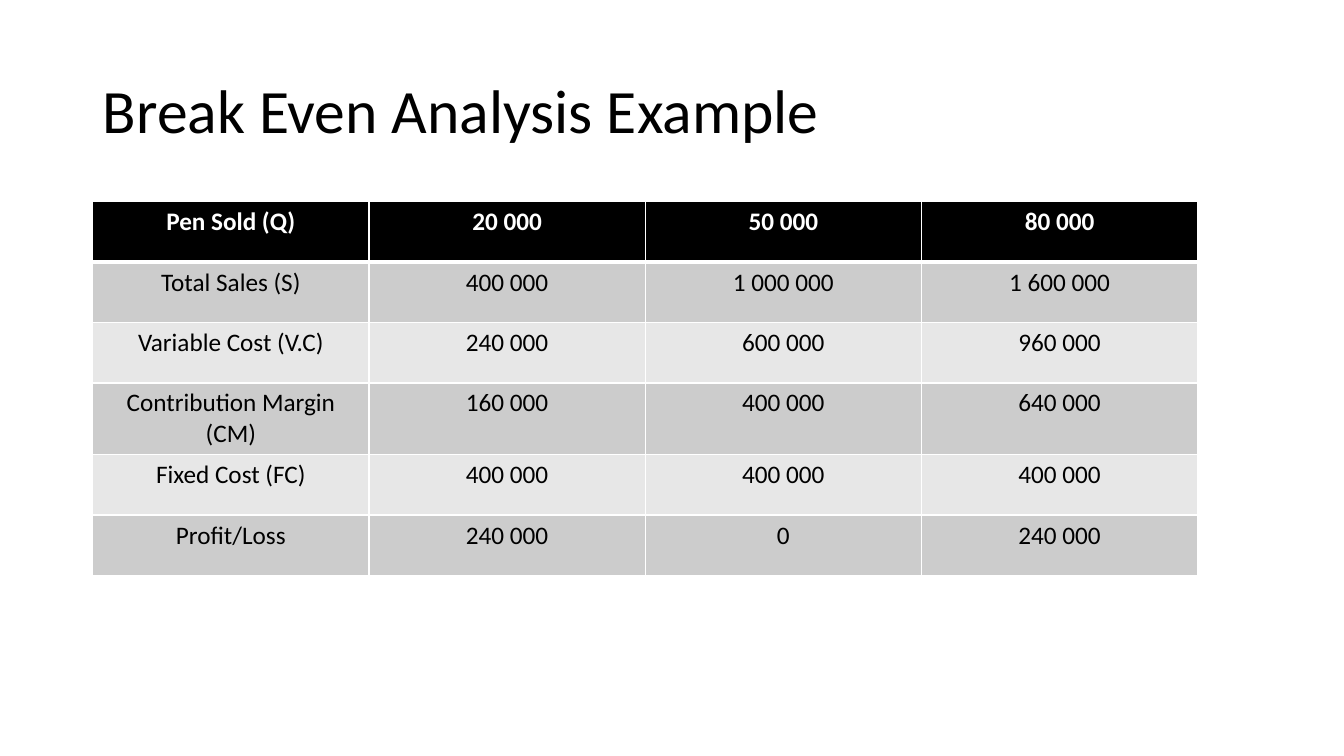
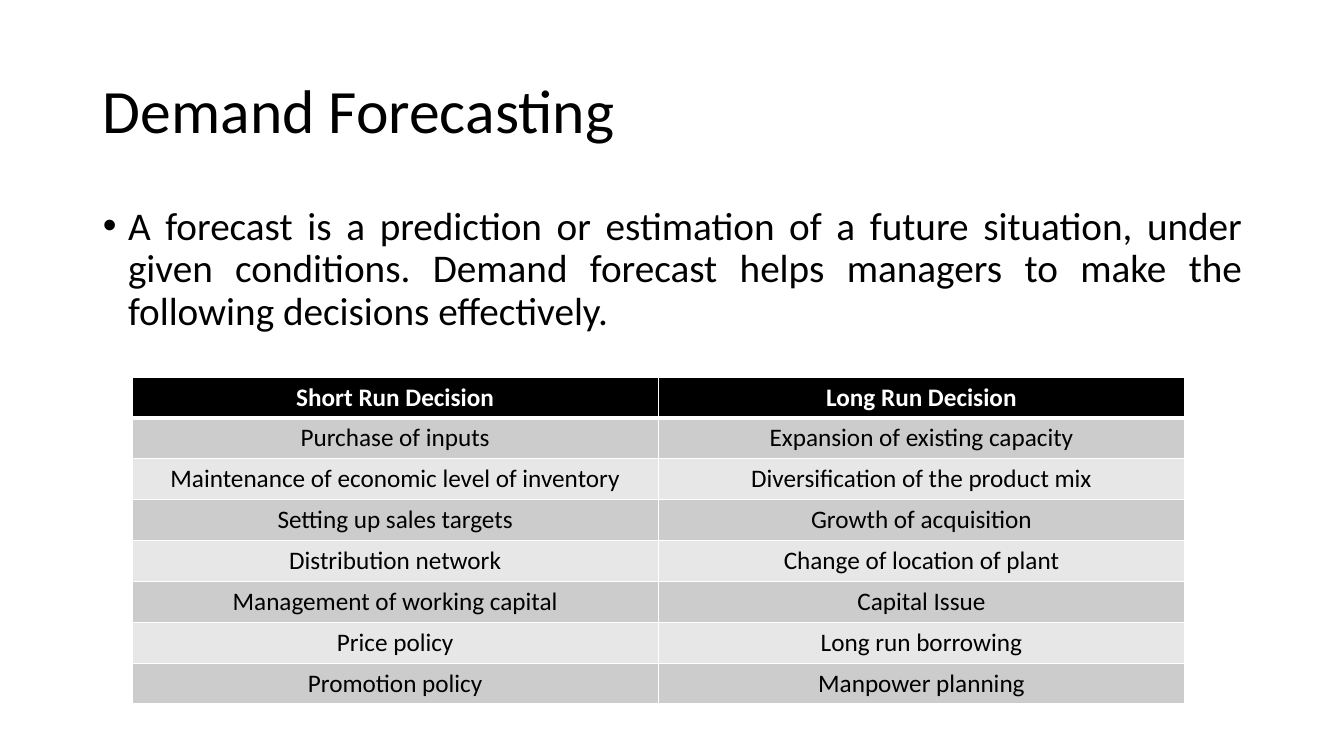
"""Build two slides on break-even analysis and demand forecasting."""
from dataclasses import dataclass

from lxml.etree import SubElement
from pptx import Presentation
from pptx.dml.color import RGBColor
from pptx.enum.text import MSO_ANCHOR, MSO_AUTO_SIZE, PP_ALIGN
from pptx.oxml.ns import qn
from pptx.util import Inches, Pt

BLACK = RGBColor(0x00, 0x00, 0x00)
WHITE = RGBColor(0xFF, 0xFF, 0xFF)
BANDS = (RGBColor(0xE7, 0xE7, 0xE7), RGBColor(0xCC, 0xCC, 0xCC))
FONT = "Calibri"
TITLE_ONLY, TITLE_AND_CONTENT = 5, 1
TITLE_BOX = (0.92, 0.4, 11.5, 1.45)
BODY_BOX = (0.92, 2, 11.5, 4.76)


@dataclass(frozen=True)
class Grid:
    """Position, cell size and contents of a table."""
    left: float
    top: float
    col_width: float
    row_height: float
    rows: tuple[tuple[str, ...], ...]


@dataclass(frozen=True)
class Page:
    """Content of one slide."""
    title: str
    grid: Grid
    body: str = ""


PAGES = (
    Page("Break Even Analysis Example", Grid(0.92, 2, 2.74, 0.6, (
        ("Pen Sold (Q)", "20 000", "50 000", "80 000"),
        ("Total Sales (S)", "400 000", "1 000 000", "1 600 000"),
        ("Variable Cost (V.C)", "240 000", "600 000", "960 000"),
        ("Contribution Margin (CM)", "160 000", "400 000", "640 000"),
        ("Fixed Cost (FC)", "400 000", "400 000", "400 000"),
        ("Profit/Loss", "240 000", "0", "240 000"),
    ))),
    Page("Demand Forecasting", Grid(1.31, 3.74, 5.22, 0.405, (
        ("Short Run Decision", "Long Run Decision"),
        ("Purchase of inputs", "Expansion of existing capacity"),
        ("Maintenance of economic level of inventory",
         "Diversification of the product mix"),
        ("Setting up sales targets", "Growth of acquisition"),
        ("Distribution network", "Change of location of plant"),
        ("Management of working capital", "Capital Issue"),
        ("Price policy", "Long run borrowing"),
        ("Promotion policy", "Manpower planning"),
    )), "A forecast is a prediction or estimation of a future situation, "
        "under given conditions. Demand forecast helps managers to make the "
        "following decisions effectively."),
)


def set_all(target, values: dict) -> None:
    """Set every named attribute on the target."""
    for name, value in values.items():
        setattr(target, name, value)


def write(tf, text: str, size: float, color: RGBColor, bold: bool, para: dict):
    """Write one formatted paragraph and return it."""
    p = tf.paragraphs[0]
    set_all(p, para)
    r = p.add_run()
    r.text = text
    set_all(r.font, {"name": FONT, "size": Pt(size), "bold": bold})
    r.font.color.rgb = color
    return p


def fill_placeholder(sp, box: tuple, text: str, size: float,
                     anchor: MSO_ANCHOR, para: dict):
    """Place a placeholder, write its text and return the paragraph."""
    set_all(sp, dict(zip(("left", "top", "width", "height"), map(Inches, box))))
    tf = sp.text_frame
    set_all(tf, {"word_wrap": True, "auto_size": MSO_AUTO_SIZE.NONE,
                 "vertical_anchor": anchor})
    return write(tf, text, size, BLACK, False, {"line_spacing": 0.9, **para})


def add_borders(cell, top: float, bottom: float) -> None:
    """Draw white borders around a cell."""
    tc_pr = cell._tc.get_or_add_tcPr()
    for side, width in {"L": 1, "R": 1, "T": top, "B": bottom}.items():
        ln = SubElement(tc_pr, qn(f"a:ln{side}"), w=str(Pt(width)))
        fill = SubElement(ln, qn("a:solidFill"))
        SubElement(fill, qn("a:srgbClr"), val=str(WHITE))


def add_grid(s, grid: Grid) -> None:
    """Add a banded table with a black header."""
    n_rows, n_cols = len(grid.rows), len(grid.rows[0])
    table = s.shapes.add_table(
        n_rows, n_cols, Inches(grid.left), Inches(grid.top),
        Inches(grid.col_width * n_cols), Inches(grid.row_height * n_rows)).table
    for i, texts in enumerate(grid.rows):
        header = i == 0
        for j, text in enumerate(texts):
            cell = table.cell(i, j)
            add_borders(cell, 3 if i == 1 else 1, 3 if header else 1)
            cell.fill.solid()
            cell.fill.fore_color.rgb = BLACK if header else BANDS[i % 2]
            write(cell.text_frame, text, 18, WHITE if header else BLACK,
                  header, {"alignment": PP_ALIGN.CENTER})


def add_page(prs, page: Page) -> None:
    """Add one slide with its title, optional body and table."""
    layout = TITLE_AND_CONTENT if page.body else TITLE_ONLY
    s = prs.slides.add_slide(prs.slide_layouts[layout])
    fill_placeholder(s.shapes.title, TITLE_BOX, page.title, 44,
                     MSO_ANCHOR.MIDDLE, {"alignment": PP_ALIGN.LEFT})
    if page.body:
        p = fill_placeholder(s.placeholders[1], BODY_BOX, page.body, 28,
                             MSO_ANCHOR.TOP, {"alignment": PP_ALIGN.JUSTIFY,
                                              "space_before": Pt(10)})
        p_pr = p._p.get_or_add_pPr()
        p_pr.set("marL", str(Inches(0.25)))
        p_pr.set("indent", str(Inches(-0.25)))
        SubElement(p_pr, qn("a:buFont"), typeface="Arial")
        SubElement(p_pr, qn("a:buChar"), char="•")
    add_grid(s, page.grid)


def main() -> None:
    """Build and save the presentation."""
    prs = Presentation()
    set_all(prs, {"slide_width": Inches(13.33), "slide_height": Inches(7.5)})
    for page in PAGES:
        add_page(prs, page)
    prs.save("out.pptx")


if __name__ == "__main__":
    main()
